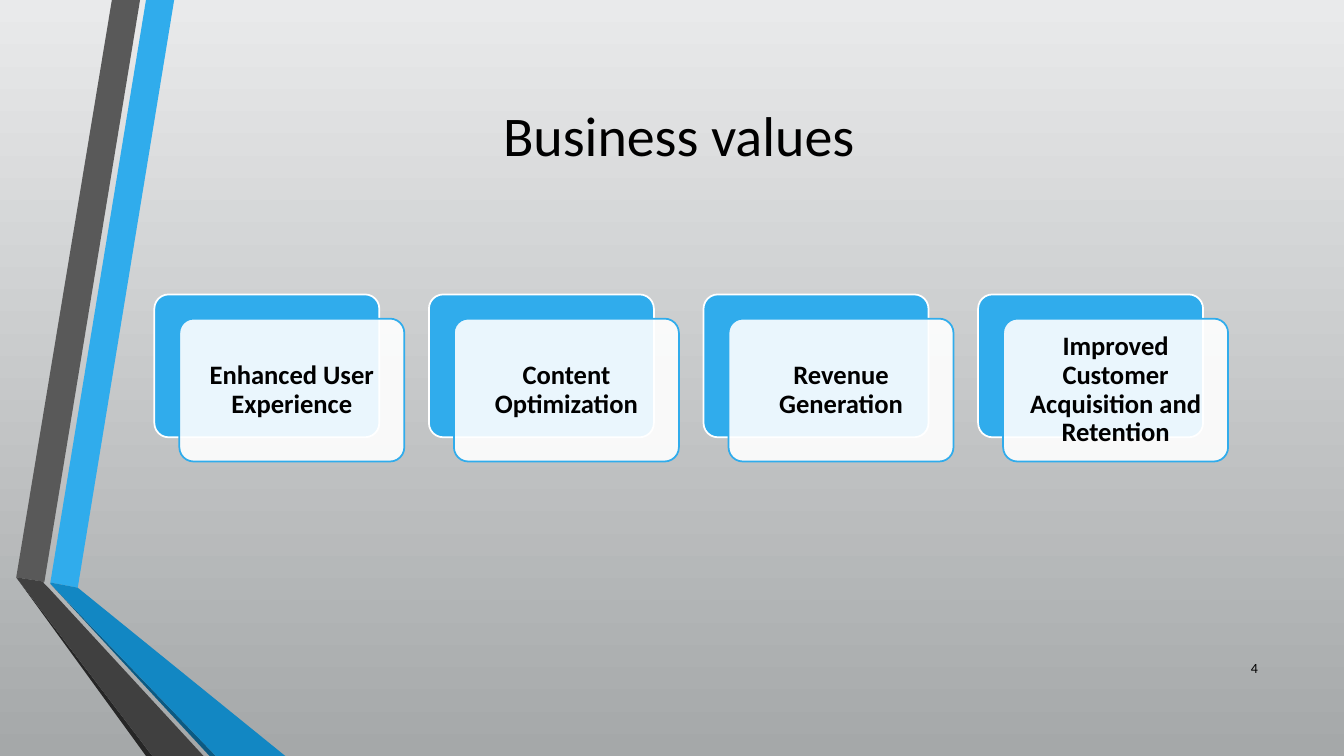
from dataclasses import dataclass

from lxml import etree
from pptx import Presentation
from pptx.dml.color import RGBColor
from pptx.enum import shapes, text
from pptx.oxml import ns
from pptx.util import Cm, Pt


@dataclass(frozen=True)
class Theme:
    font: str = "Calibri"
    title_size: float = 40
    card_size: float = 19
    number_size: float = 10
    line_width: float = 1.25
    ink: str = "000000"
    white: str = "FFFFFF"
    blue: str = "30ACEC"
    blue_fold: str = "1287C3"
    blue_edge: str = "0C5A82"
    gray: str = "595959"
    gray_fold: str = "404040"
    gray_edge: str = "262626"
    background: tuple[str, str] = ("E9EAEB", "A5A8A9")


@dataclass(frozen=True)
class Ribbon:
    color: str
    points: list[tuple[float, float]]  # centimetres


@dataclass(frozen=True)
class Card:
    label: str
    left: float


THEME = Theme()
SLIDE_W, SLIDE_H = 33.87, 19.05

# Ribbon bands, folded at the lower left
RIBBONS = [
    Ribbon(THEME.blue, [(1.27, 14.68), (1.96, 14.81), (4.39, 0), (3.68, 0)]),
    Ribbon(THEME.gray, [(3.53, 0), (2.82, 0), (0.41, 14.55), (1.12, 14.66)]),
    Ribbon(THEME.gray_edge, [(0.41, 14.55), (3.68, SLIDE_H), (3.84, SLIDE_H)]),
    Ribbon(THEME.blue_edge, [(1.27, 14.71), (5.28, SLIDE_H), (5.44, SLIDE_H)]),
    Ribbon(THEME.blue_fold, [(1.27, 14.71), (5.44, SLIDE_H), (7.19, SLIDE_H),
                             (1.96, 14.81), (1.27, 14.68)]),
    Ribbon(THEME.gray_fold, [(5.13, SLIDE_H), (1.22, 14.81), (1.09, 14.68),
                             (1.12, 14.66), (0.41, 14.55), (3.84, SLIDE_H)]),
]

# Row of cards
CARD_LEFT, CARD_TOP, CARD_PITCH = 3.89, 7.42, 6.92
CARD_W, CARD_H = 5.67, 3.6
FRONT_DX, FRONT_DY = 0.63, 0.61
CARD_INSET = 0.3
LABELS = [
    "Enhanced User Experience",
    "Content Optimization",
    "Revenue Generation",
    "Improved Customer Acquisition and Retention",
]
CARDS = [Card(label, CARD_LEFT + i * CARD_PITCH) for i, label in enumerate(LABELS)]


def rgb(color: str) -> RGBColor:
    return RGBColor.from_string(color)


def write(tf, content: str, size: float, align, bold: bool = False):
    """Fill a text frame with one middle-anchored paragraph."""
    tf.word_wrap = True
    tf.auto_size = text.MSO_AUTO_SIZE.NONE
    tf.vertical_anchor = text.MSO_ANCHOR.MIDDLE
    p = tf.paragraphs[0]
    p.text = content
    p.alignment = align
    p.font.name = THEME.font
    p.font.size = Pt(size)
    p.font.bold = bold
    p.font.color.rgb = rgb(THEME.ink)
    return p


def add_ribbon(slide, ribbon: Ribbon) -> None:
    # Freeform units are whole numbers: hundredths of a centimetre
    start, *rest = [(x * 100, y * 100) for x, y in ribbon.points]
    builder = slide.shapes.build_freeform(*start, scale=Cm(0.01))
    builder.add_line_segments(rest, close=True)
    sp = builder.convert_to_shape()
    sp.shadow.inherit = False
    sp.fill.solid()
    sp.fill.fore_color.rgb = rgb(ribbon.color)
    sp.line.fill.background()


def add_panel(slide, left: float, top: float, fill: str, line: str):
    sp = slide.shapes.add_shape(shapes.MSO_SHAPE.ROUNDED_RECTANGLE,
                                Cm(left), Cm(top), Cm(CARD_W), Cm(CARD_H))
    sp.adjustments[0] = 0.1
    sp.shadow.inherit = False
    sp.fill.solid()
    sp.fill.fore_color.rgb = rgb(fill)
    sp.line.color.rgb = rgb(line)
    sp.line.width = Pt(THEME.line_width)
    return sp


def set_opacity(sp, percent: int) -> None:
    color = sp.fill._xPr.find(ns.qn("a:solidFill"))[0]
    etree.SubElement(color, ns.qn("a:alpha")).set("val", str(percent * 1000))


def add_card(slide, card: Card) -> None:
    add_panel(slide, card.left, CARD_TOP, THEME.blue, THEME.white)
    front = add_panel(slide, card.left + FRONT_DX, CARD_TOP + FRONT_DY,
                      THEME.white, THEME.blue)
    set_opacity(front, 90)
    tf = front.text_frame
    tf.margin_left = tf.margin_right = Cm(CARD_INSET)
    tf.margin_top = tf.margin_bottom = Cm(CARD_INSET)
    p = write(tf, card.label, THEME.card_size, text.PP_ALIGN.CENTER, bold=True)
    p.line_spacing = 0.9


def main() -> None:
    prs = Presentation()
    prs.slide_width, prs.slide_height = Cm(SLIDE_W), Cm(SLIDE_H)
    slide = prs.slides.add_slide(prs.slide_layouts[5])

    # Background, light at the top
    fill = slide.background.fill
    fill.gradient()
    fill.gradient_angle = 270
    for stop, color in zip(fill.gradient_stops, THEME.background):
        stop.color.rgb = rgb(color)

    for ribbon in RIBBONS:
        add_ribbon(slide, ribbon)

    # Title
    title = slide.shapes.title
    title.left, title.top = Cm(3.58), Cm(0.94)
    title.width, title.height = Cm(27.05), Cm(4.88)
    write(title.text_frame, "Business values", THEME.title_size, text.PP_ALIGN.CENTER)

    # Slide number
    number = slide.shapes.add_textbox(Cm(30.43), Cm(16.31), Cm(1.52), Cm(1.02))
    write(number.text_frame, "4", THEME.number_size, text.PP_ALIGN.RIGHT)

    for card in CARDS:
        add_card(slide, card)

    prs.save("out.pptx")


if __name__ == "__main__":
    main()
